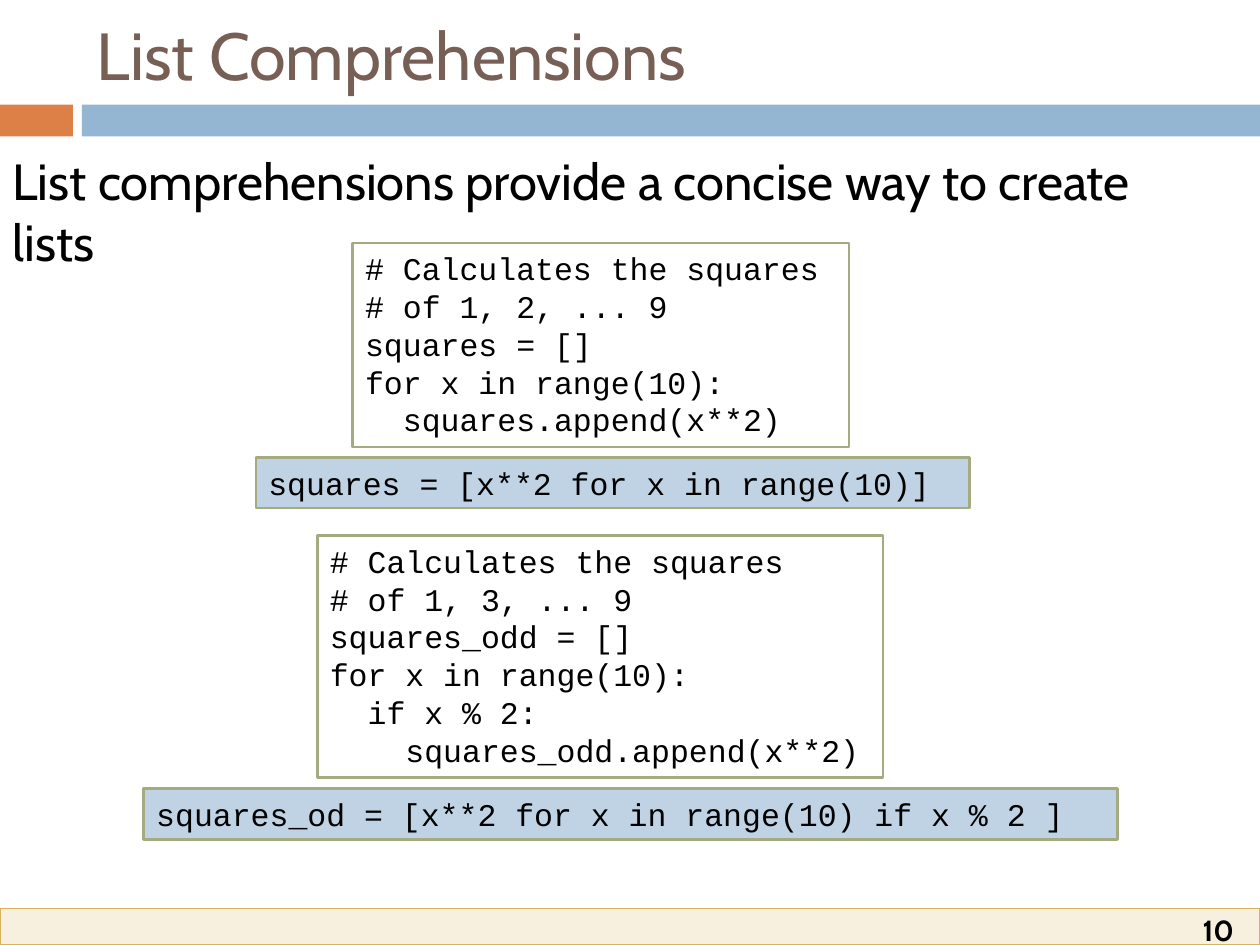
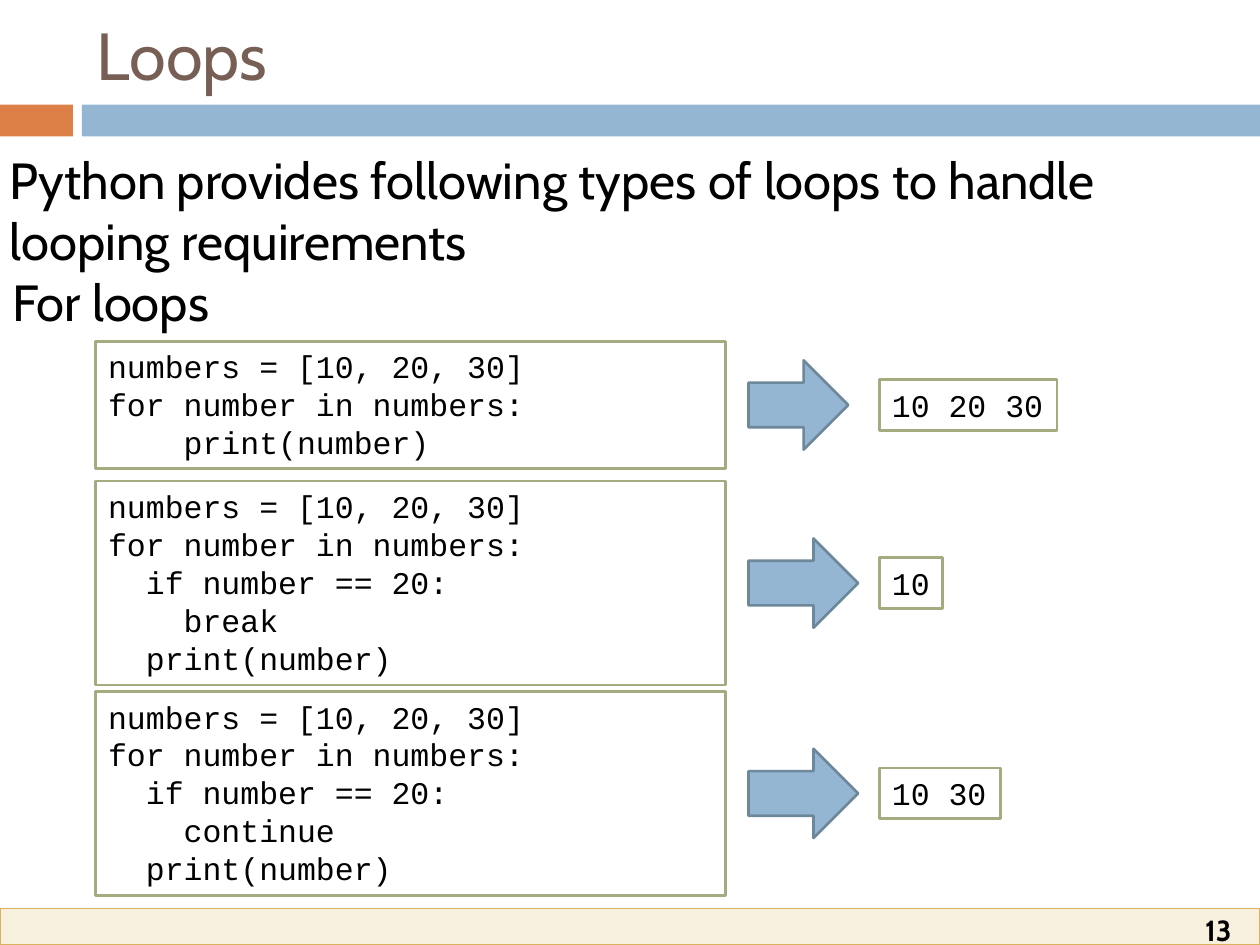
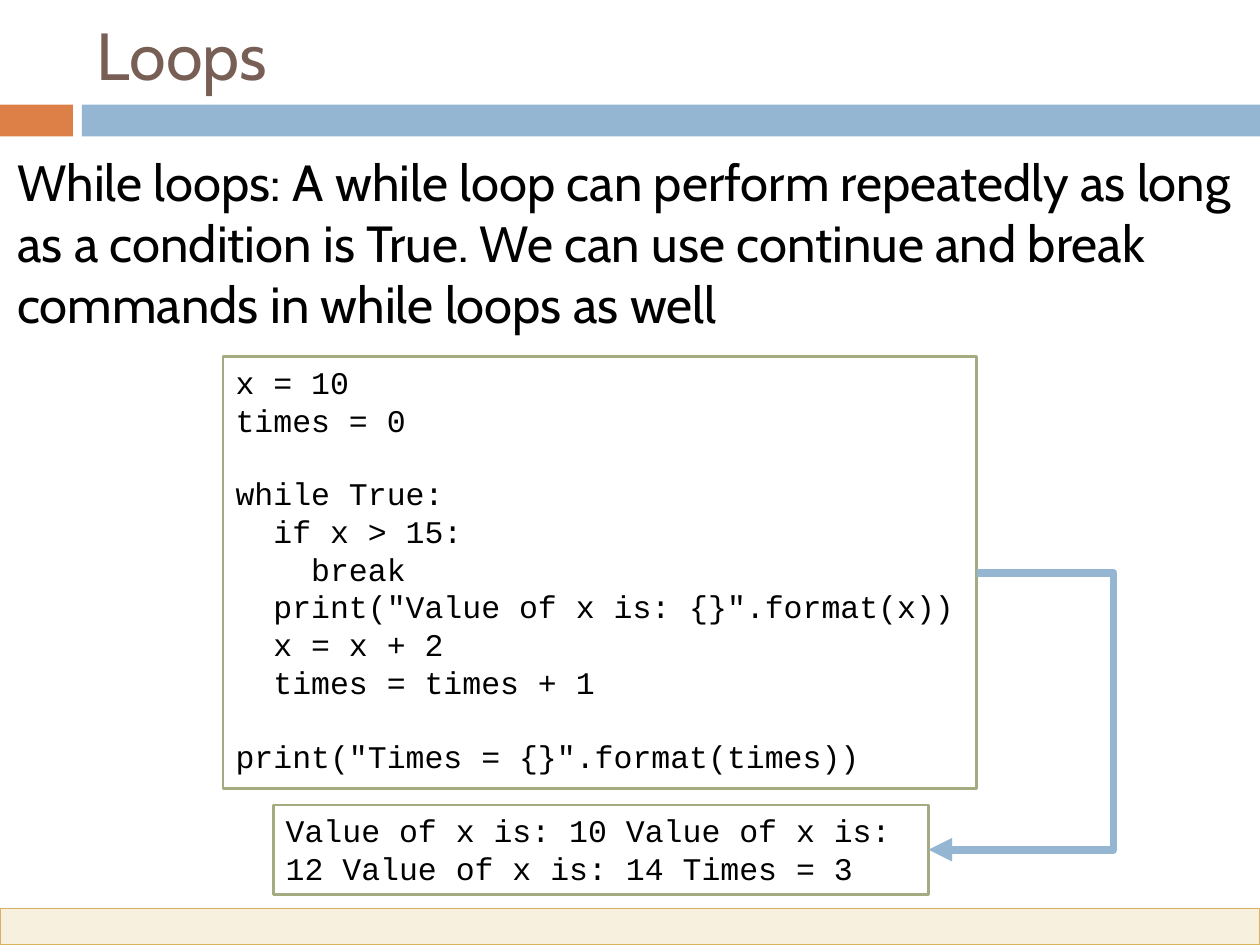
from lxml import etree
from pptx import Presentation, util as u
from pptx.dml.color import RGBColor
from pptx.enum import shapes, text
from pptx.oxml import ns

COLOURS = {
    "white": "FFFFFF", "black": "000000", "title": "775F55",
    "orange": "DD8047", "blue": "94B6D2", "pale blue": "BFD3E4",
    "arrow edge": "6D879B", "green edge": "A5AB81",
    "footer": "F7F0DE", "footer edge": "D8B25C",
}
BODY_FONT, CODE_FONT = "Cabin", "Courier New"
CODE_LINE = u.Pt(20.4)
RECTANGLE = shapes.MSO_SHAPE.RECTANGLE


def colour(name):
    return RGBColor.from_string(COLOURS[name])


def lengths(box):
    return [u.Cm(value) for value in box]


def write_text(frame, content, size=29, font=BODY_FONT, fill="black", bold=False,
               align=text.PP_ALIGN.LEFT, anchor=text.MSO_ANCHOR.TOP, wrap=True):
    """Write one paragraph a line; an empty line becomes space before the next."""
    frame.word_wrap = wrap
    frame.auto_size = text.MSO_AUTO_SIZE.NONE
    frame.vertical_anchor = anchor
    paragraph, gap = frame.paragraphs[0], 0
    for index, line in enumerate(content.split("\n")):
        if not line:
            gap += CODE_LINE
            continue
        if index:
            paragraph = frame.add_paragraph()
        paragraph.alignment = align
        paragraph.space_before = u.Emu(gap)
        gap = 0
        run = paragraph.add_run()
        run.text = line
        run.font.name, run.font.size, run.font.bold = font, u.Pt(size), bold
        run.font.color.rgb = colour(fill)


def add_block(slide, box, fill, edge=None, line_width=1.5, kind=RECTANGLE):
    shape = slide.shapes.add_shape(kind, *lengths(box))
    shape.shadow.inherit = False
    shape.fill.solid()
    shape.fill.fore_color.rgb = colour(fill)
    if edge:
        shape.line.color.rgb = colour(edge)
        shape.line.width = u.Pt(line_width)
    else:
        shape.line.fill.background()
    return shape


def add_code(slide, box, content, fill="white", wrap=True):
    shape = add_block(slide, box, fill, "green edge")
    write_text(shape.text_frame, content, size=18, font=CODE_FONT, wrap=wrap)


def add_note(slide, box, content, **style):
    write_text(slide.shapes.add_textbox(*lengths(box)).text_frame, content, **style)


def add_bands(slide):
    """Draw the shared bands and move them to the layout."""
    bands = [
        add_block(slide, (0, 18.31, 25.4, 0.74), "footer", "footer edge", 0.79),
        add_block(slide, (0, 1.98, 25.4, 0.89), "white"),
        add_block(slide, (0, 2.11, 1.47, 0.64), "orange"),
        add_block(slide, (1.65, 2.11, 23.75, 0.64), "blue"),
    ]
    for band in bands:
        slide.slide_layout.shapes.element.append(band.element)


def add_titled_slide(presentation, title, number=None):
    slide = presentation.slides.add_slide(presentation.slide_layouts[5])
    if len(presentation.slides) == 1:
        add_bands(slide)
    heading = slide.shapes.title
    heading.left, heading.top, heading.width, heading.height = lengths((1.7, 0, 22.66, 2.18))
    write_text(heading.text_frame, title, size=38, fill="title",
               anchor=text.MSO_ANCHOR.MIDDLE)
    if number:
        add_note(slide, (23.72, 18.31, 1.68, 0.89), number, size=16.6, bold=True,
                 align=text.PP_ALIGN.CENTER, anchor=text.MSO_ANCHOR.MIDDLE)
    return slide


def add_loop_row(slide, box, code, arrow_width, output, output_width):
    """Code, arrow and output, centred on one line."""
    left, top, width, height = box
    middle = top + height / 2
    add_code(slide, box, code)
    add_block(slide, (left + width + 0.46, middle - 0.9, arrow_width, 1.8), "blue",
              "arrow edge", kind=shapes.MSO_SHAPE.RIGHT_ARROW)
    add_code(slide, (left + width + 3.1, middle - 0.51, output_width, 1.02), output, wrap=False)


def add_elbow_arrow(slide, start, end, bend):
    """Run from start out to the x of bend, then back to end."""
    connector = slide.shapes.add_connector(
        shapes.MSO_CONNECTOR.ELBOW, *lengths(start + end))
    connector.line.color.rgb = colour("blue")
    connector.line.width = u.Pt(4.5)
    properties = connector.element.spPr
    guides = properties.find(ns.qn("a:prstGeom")).get_or_add_avLst()
    ratio = (bend - start[0]) / (end[0] - start[0])
    etree.SubElement(guides, ns.qn("a:gd"), name="adj1", fmla=f"val {round(ratio * 100000)}")
    etree.SubElement(properties.find(ns.qn("a:ln")), ns.qn("a:tailEnd"), type="triangle")
    etree.SubElement(properties, ns.qn("a:effectLst"))


def build_comprehensions(presentation):
    slide = add_titled_slide(presentation, "List Comprehensions", "10")
    add_note(slide, (0, 2.9, 24.69, 1.5),
             "List comprehensions provide a concise way to create lists")
    # Loops
    add_code(slide, (7.11, 4.9, 10.01, 4.11), """# Calculates the squares
# of 1, 2, ... 9
squares = []
for x in range(10):
  squares.append(x**2)""")
    add_code(slide, (6.4, 10.8, 11.4, 4.88), """# Calculates the squares
# of 1, 3, ... 9
squares_odd = []
for x in range(10):
  if x % 2:
    squares_odd.append(x**2)""")
    # Matching comprehensions
    add_code(slide, (5.16, 9.22, 14.38, 1.02),
             "squares = [x**2 for x in range(10)]", "pale blue")
    add_code(slide, (2.9, 15.9, 19.63, 1.02),
             "squares_od = [x**2 for x in range(10) if x % 2 ]", "pale blue")


def build_for_loops(presentation):
    slide = add_titled_slide(presentation, "Loops", "13")
    add_note(slide, (-0.05, 2.87, 25.4, 2.74),
             "Python provides following types of loops to handle looping requirements")
    add_note(slide, (0, 5.33, 4.5, 1.5), "For loops")
    # Examples with their output
    opening = "numbers = [10, 20, 30]\nfor number in numbers:\n"
    branch = opening + "  if number == 20:\n    {}\n  print(number)"
    rows = [
        (6.88, 2.57, opening + "    print(number)", 2.01, "10 20 30", 3.58),
        (9.7, 4.11, branch.format("break"), 2.21, "10", 1.27),
        (13.94, 4.11, branch.format("continue"), 2.21, "10 30", 2.44),
    ]
    for top, height, *parts in rows:
        add_loop_row(slide, (1.93, top, 12.7, height), *parts)


def build_while_loops(presentation):
    slide = add_titled_slide(presentation, "Loops")
    add_note(slide, (0.1, 2.92, 24.99, 3.99),
             "While loops: A while loop can perform repeatedly as long as a condition "
             "is True. We can use continue and break commands in while loops as well")
    add_code(slide, (4.5, 7.19, 15.19, 8.71), """x = 10
times = 0

while True:
  if x > 15:
    break
  print("Value of x is: {}".format(x))
  x = x + 2
  times = times + 1

print("Times = {}".format(times))""")
    # Output
    add_code(slide, (5.51, 16.23, 13.21, 1.8),
             "Value of x is: 10 Value of x is: 12 Value of x is: 14 Times = 3")
    add_elbow_arrow(slide, (19.7, 11.55), (18.72, 17.13), bend=22.45)


def main():
    presentation = Presentation()
    presentation.slide_width, presentation.slide_height = u.Cm(25.4), u.Cm(19.05)
    build_comprehensions(presentation)
    build_for_loops(presentation)
    build_while_loops(presentation)
    presentation.save("out.pptx")


if __name__ == "__main__":
    main()
